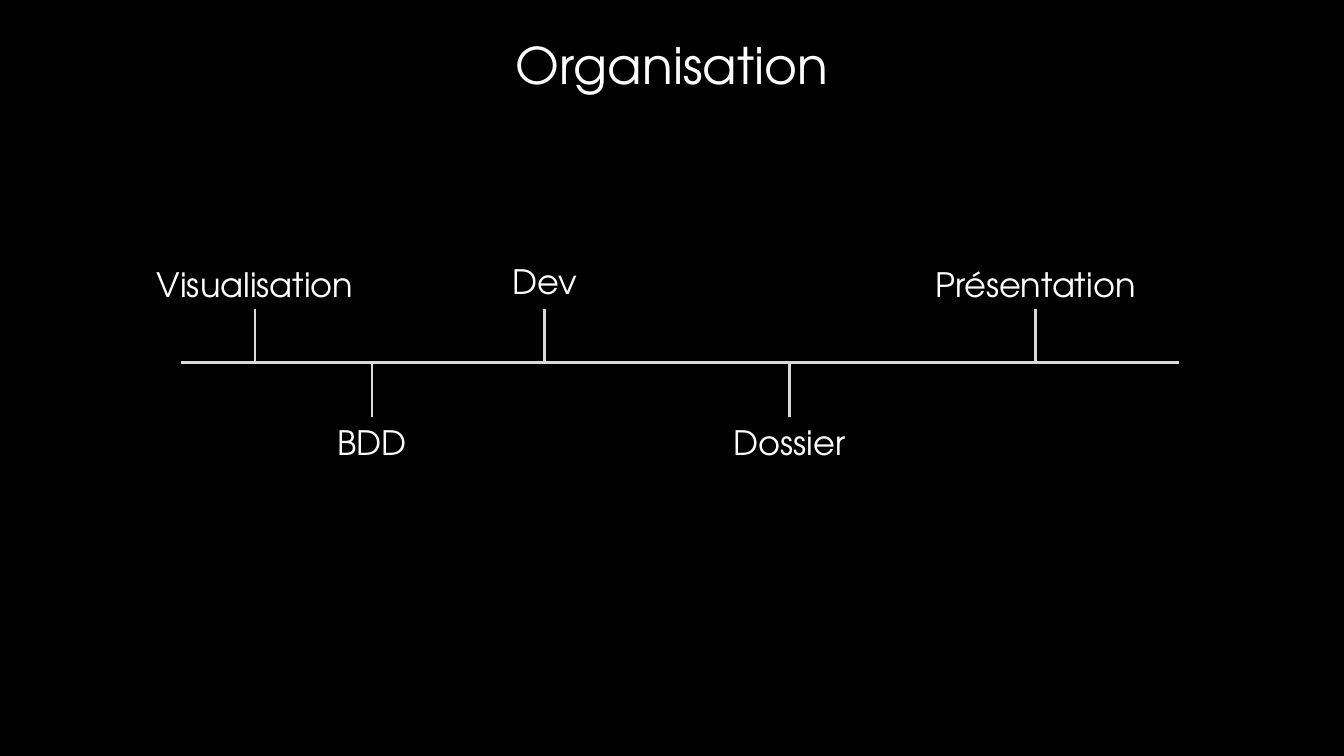
from pptx import Presentation as Deck
from pptx.dml.color import RGBColor as RGB
from pptx.enum.shapes import MSO_CONNECTOR as Link
from pptx.enum.text import MSO_ANCHOR as Anchor, MSO_AUTO_SIZE as Fit, PP_ALIGN as Align
from pptx.oxml.ns import qn
from pptx.util import Inches, Pt
from lxml.etree import SubElement as add_node

BLACK = RGB(0, 0, 0)
WHITE = RGB(255, 255, 255)
GREY = RGB(0xD9, 0xD9, 0xD9)


class Board:
    """Holds the style and the current slide, and draws each kind of element."""

    font = {"name": "TeX Gyre Adventor", "bold": False}
    frame = {"word_wrap": True, "auto_size": Fit.SHAPE_TO_FIT_TEXT,
             "vertical_anchor": Anchor.TOP}

    def __init__(self, deck):
        self.slide = deck.slides.add_slide(deck.slide_layouts[5])
        fill = self.slide.background.fill
        fill.solid()
        fill.fore_color.rgb = BLACK

    def set_text(self, shape, text, size):
        frame = shape.text_frame
        frame.text = text
        for key, value in self.frame.items():
            setattr(frame, key, value)
        line = frame.paragraphs[0]
        line.alignment = Align.CENTER
        for key, value in {**self.font, "size": Pt(size)}.items():
            setattr(line.runs[0].font, key, value)
        line.runs[0].font.color.rgb = WHITE

    def title(self, text, left, top, width, height):
        shape = self.slide.shapes.title
        place = {"left": left, "top": top, "width": width, "height": height}
        for key, value in place.items():
            setattr(shape, key, Inches(value))
        self.set_text(shape, text, 36)

    def label(self, text, left, top, width, height):
        box = self.slide.shapes.add_textbox(*map(Inches, (left, top, width, height)))
        self.set_text(box, text, 24)
        return box

    def line(self, *ends):
        line = self.slide.shapes.add_connector(Link.STRAIGHT, *map(Inches, ends))
        line.line.color.rgb = GREY
        line.line.width = Pt(2)
        add_node(line._element.spPr, qn("a:effectLst"))
        return line


def main():
    deck = Deck()
    deck.slide_width, deck.slide_height = Inches(13.33), Inches(7.5)
    board = Board(deck)
    board.title("Organisation", 0, 0.29, 13.33, 0.71)

    axis, wide, high = 3.6, 2.53, 0.5
    board.line(1.8, axis, 11.69, axis)
    steps = [("Visualisation", 2.53, True, 0), ("BDD", 3.69, False, 0),
             ("Dev", 5.4, True, 0.03), ("Dossier", 7.83, False, 0),
             ("Présentation", 10.27, True, 0)]
    for name, x, above, gap in steps:
        tip = 3.07 if above else 4.14
        top = tip - high - gap if above else tip
        box = board.label(name, x - wide / 2, top, wide, high)
        tick = board.line(x, tip, x, axis)
        if not gap:
            tick.begin_connect(box, 2 if above else 0)

    deck.save("out.pptx")


if __name__ == "__main__":
    main()
